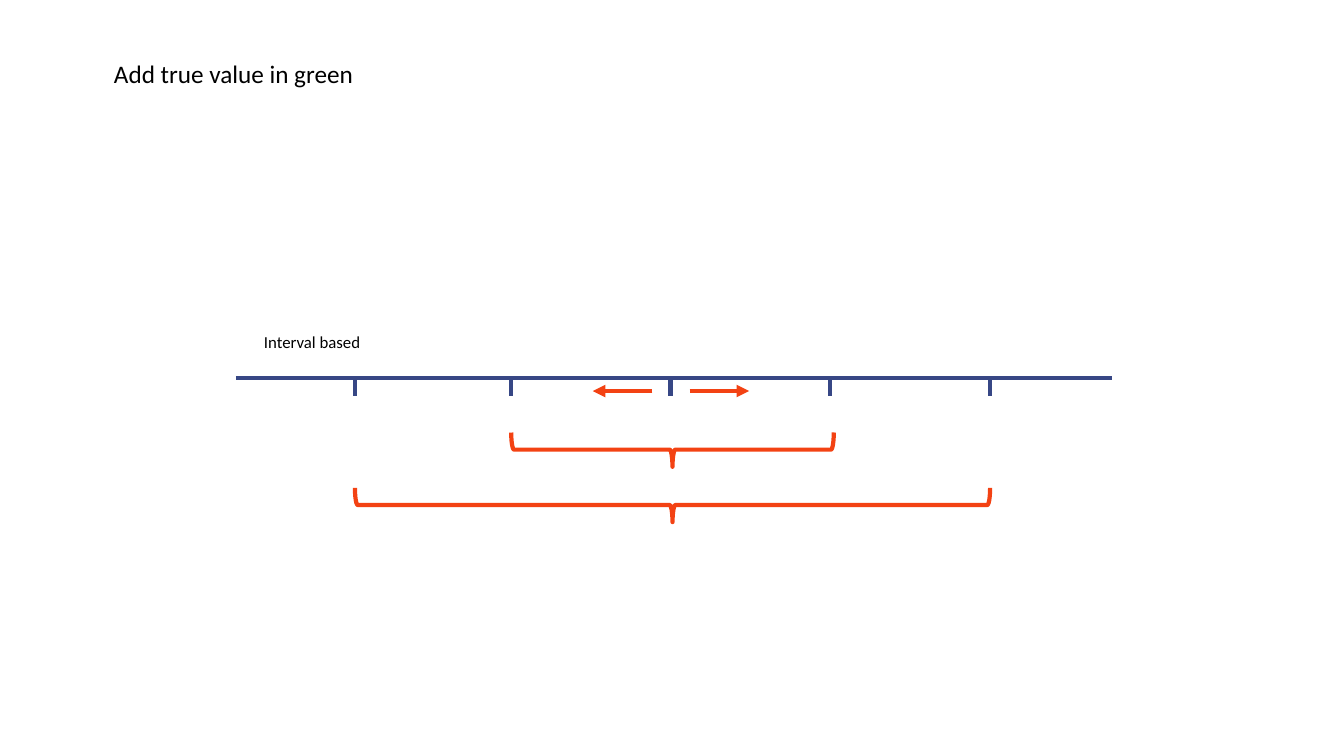
"""Build a slide with an interval scale, its arrows and two spanning braces."""
from lxml.etree import SubElement
from pptx import Presentation
from pptx.dml.color import RGBColor
from pptx.enum.shapes import MSO_CONNECTOR as Connector, MSO_SHAPE as Shape
from pptx.enum.text import MSO_ANCHOR as Anchor, MSO_AUTO_SIZE as AutoSize, PP_ALIGN as Align
from pptx.oxml.ns import qn
from pptx.util import Inches, Pt

WIDTH, HEIGHT = Inches(13.33), Inches(7.5)
BLACK = RGBColor(0x00, 0x00, 0x00)
NAVY = RGBColor(0x37, 0x47, 0x85)
ORANGE = RGBColor(0xF3, 0x42, 0x13)
FONT = "Calibri"
LINE_WIDTH = Pt(3)
TICKS = (26.4, 38.03, 49.89, 61.74, 73.67)
AXIS_ROW, TICK_TOP, TICK_BOTTOM, ARROW_ROW = 50, 49.87, 52.4, 51.73
ARROWS = ((48.54, 44.11), (51.31, 55.74))
BRACE_CENTRE, BRACE_DEPTH = 50.04, 4.53
BRACES = ((24, 59.47), (47.26, 66.8))


def across(percent):
    """Return a share of the slide's width."""
    return round(WIDTH * percent / 100)


def down(percent):
    """Return a share of the slide's height."""
    return round(HEIGHT * percent / 100)


def style_line(line, color):
    """Give a line its colour and the common width."""
    line.color.rgb = color
    line.width = LINE_WIDTH


def add_line(shapes, start, end, color, arrow=False):
    """Draw a straight line, with an arrowhead at its end if wanted."""
    connector = shapes.add_connector(
        Connector.STRAIGHT, across(start[0]), down(start[1]), across(end[0]), down(end[1])
    )
    style_line(connector.line, color)
    properties = connector._element.spPr
    if arrow:
        SubElement(properties.find(qn("a:ln")), qn("a:tailEnd"), type="triangle")
    SubElement(properties, qn("a:effectLst"))


def add_brace(shapes, span, row):
    """Draw a brace that opens upwards, centred under the scale."""
    length, depth = across(span), down(BRACE_DEPTH)
    left = across(BRACE_CENTRE) - depth // 2
    top = down(row) - length // 2
    brace = shapes.add_shape(Shape.LEFT_BRACE, left, top, depth, length)
    brace.rotation = 270
    brace.shadow.inherit = False
    brace.fill.background()
    style_line(brace.line, ORANGE)


def format_text(shape, text, size, wrap):
    """Fill a shape with one left-aligned line of black text."""
    text_frame = shape.text_frame
    text_frame.text = text
    text_frame.word_wrap = wrap
    text_frame.auto_size = AutoSize.SHAPE_TO_FIT_TEXT
    text_frame.vertical_anchor = Anchor.TOP
    paragraph = text_frame.paragraphs[0]
    paragraph.alignment = Align.LEFT
    paragraph.line_spacing = 1.0
    paragraph.space_before = Pt(0)
    font = paragraph.runs[0].font
    font.name, font.size, font.color.rgb = FONT, Pt(size), BLACK


def add_title(slide, text):
    """Place the slide's title at the top left."""
    title = slide.shapes.title
    title.left, title.top = across(7.73), down(7.07)
    title.width, title.height = across(19.58), down(5.33)
    format_text(title, text, 18, False)


def add_scale(shapes):
    """Draw the axis with its ticks and its label."""
    for tick in TICKS:
        add_line(shapes, (tick, TICK_TOP), (tick, TICK_BOTTOM), NAVY)
    add_line(shapes, (17.55, AXIS_ROW), (82.75, AXIS_ROW), NAVY)
    label = shapes.add_textbox(across(18.9), down(43.2), across(10.28), down(4))
    format_text(label, "Interval based", 12, True)


def main():
    """Build and save the slide."""
    presentation = Presentation()
    presentation.slide_width, presentation.slide_height = WIDTH, HEIGHT
    slide = presentation.slides.add_slide(presentation.slide_layouts[5])
    add_title(slide, "Add true value in green")
    shapes = slide.shapes.add_group_shape().shapes
    add_scale(shapes)
    for span, row in BRACES:
        add_brace(shapes, span, row)
    for start, end in ARROWS:
        add_line(shapes, (start, ARROW_ROW), (end, ARROW_ROW), ORANGE, arrow=True)
    presentation.save("out.pptx")


if __name__ == "__main__":
    main()
